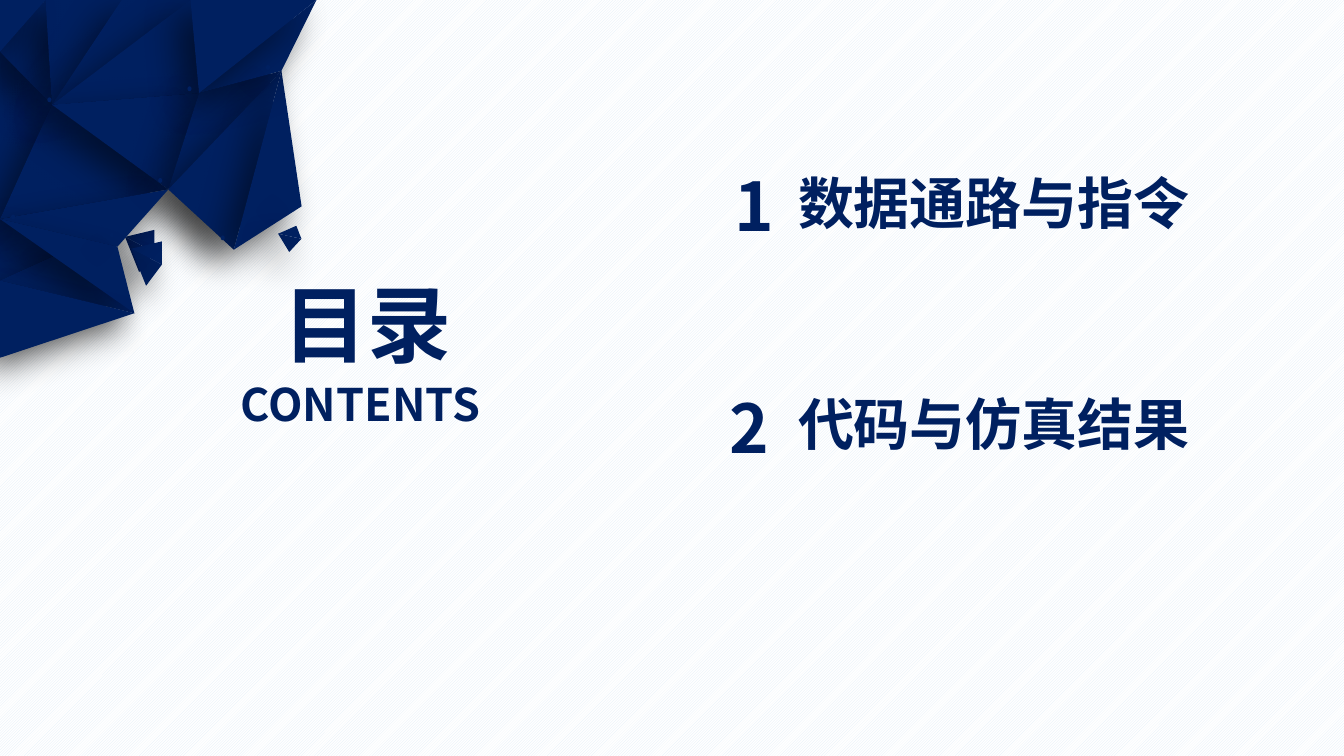
import pptx
import pptx.util
import pptx.dml.color
import pptx.enum.dml
import pptx.enum.shapes
import pptx.enum.text
import pptx.oxml
import pptx.oxml.ns

Pt = pptx.util.Pt
NAVY = "002060"
FONT = "Noto Sans CJK SC"
SHADOW = (
    '<a:effectLst xmlns:a="http://schemas.openxmlformats.org/drawingml/2006/main">'
    '<a:outerShdw blurRad="317500" dist="190500" dir="8100000" algn="tr" rotWithShape="0">'
    '<a:srgbClr val="000000"><a:alpha val="50000"/></a:srgbClr>'
    '</a:outerShdw></a:effectLst>'
)


def paint(color_format, hex_color):
    color_format.rgb = pptx.dml.color.RGBColor.from_string(hex_color)


def write(box, text, size, wrap=False, spacing=None):
    """Set one bold navy line, left-aligned from the top of the box."""
    frame = box.text_frame
    frame.text = text
    layout = {
        "auto_size": pptx.enum.text.MSO_AUTO_SIZE.NONE,
        "vertical_anchor": pptx.enum.text.MSO_ANCHOR.TOP,
        "word_wrap": wrap,
    }
    for name, value in layout.items():
        setattr(frame, name, value)
    line = frame.paragraphs[0]
    line.alignment = pptx.enum.text.PP_ALIGN.LEFT
    line.line_spacing = spacing
    font = line.runs[0].font
    for name, value in {"name": FONT, "size": Pt(size), "bold": True}.items():
        setattr(font, name, value)
    paint(font.color, NAVY)
    east_asian = pptx.oxml.parse_xml(
        '<a:ea xmlns:a="http://schemas.openxmlformats.org/drawingml/2006/main"'
        f' typeface="{FONT}"/>')
    line.runs[0].font._element.find(pptx.oxml.ns.qn("a:latin")).addnext(east_asian)


deck = pptx.Presentation()
deck.slide_width, deck.slide_height = Pt(960), Pt(540)
slide = deck.slides.add_slide(deck.slide_layouts[5])

backdrop = slide.background.fill
backdrop.patterned()
backdrop.pattern = pptx.enum.dml.MSO_PATTERN.DARK_UPWARD_DIAGONAL
paint(backdrop.fore_color, "DEEBF7")
paint(backdrop.back_color, "FFFFFF")

# Faceted corner: named vertices in points, then triangles between them
vertices = {
    "corner": (0, 0), "edge_high": (0, 35.3), "edge_mid": (0, 149),
    "edge_low": (0, 190.8), "edge_end": (0, 243.4),
    "top1": (31, 0), "top2": (82.8, 0), "top3": (129.6, 0), "top4": (215.3, 0),
    "west": (35.3, 71.3), "hub": (135.4, 63.4), "crest": (191.5, 48.2),
    "notch": (114.5, 128.9), "fang": (159.1, 169.9), "east": (205.2, 140.4),
    "fold": (64.8, 161.3), "elbow": (79.9, 167.8), "south": (91.4, 213.1),
    "shard_left": (89.3, 169.2), "shard_tip": (99.4, 194.4),
    "shard_right": (110.2, 180), "shard_top": (110.2, 164.2),
    "chip_left": (198.7, 167), "chip_tip": (206.6, 180),
    "chip_right": (215.3, 170.6), "chip_top": (211.7, 161.3),
}
facets = [
    "edge_mid edge_low fold", "edge_low south fold", "edge_high edge_mid west",
    "edge_mid notch west", "west top1 edge_high", "west top2 top1",
    "west top3 top2", "top3 hub west", "notch west hub", "notch crest hub",
    "notch fang crest", "fang east crest", "hub top4 crest", "top3 top4 hub",
    "shard_tip shard_left shard_right", "shard_left shard_top shard_right",
    "top1 corner edge_high", "notch elbow edge_mid", "elbow south edge_mid",
    "edge_low edge_end south",
]
chip = ["chip_tip chip_left chip_right", "chip_left chip_top chip_right"]

crystal = slide.shapes.add_group_shape().shapes
pieces = []
for triangles, scale in ((facets, 1), (facets, 1.05), (chip, 1)):
    for triangle in triangles:
        start, *others = [
            (Pt(vertices[name][0] * scale), Pt(vertices[name][1] * scale))
            for name in triangle.split()
        ]
        outline = crystal.build_freeform(*start)
        outline.add_line_segments(others, close=True)
        pieces.append(outline.convert_to_shape())

DOT_WIDTH, DOT_HEIGHT = 2.9, 3.4
dot_centres = [vertices[name] for name in
               ("crest", "hub", "notch", "west", "elbow", "fang", "east")]
dot_centres += [(36, 174.5), (9.4, 155)]
for x, y in dot_centres:
    pieces.append(crystal.add_shape(
        pptx.enum.shapes.MSO_SHAPE.OVAL, Pt(x - DOT_WIDTH / 2),
        Pt(y - DOT_HEIGHT / 2), Pt(DOT_WIDTH), Pt(DOT_HEIGHT)))

for piece in pieces:
    piece.fill.solid()
    paint(piece.fill.fore_color, NAVY)
    piece.line.fill.background()
    piece._element.spPr.append(pptx.oxml.parse_xml(SHADOW))

# Heading
heading = slide.shapes.title
place = {"left": 195.1, "top": 190.8, "width": 135.4, "height": 79.9}
for side, length in place.items():
    setattr(heading, side, Pt(length))
write(heading, "目录", 60)

subheading = slide.shapes.add_textbox(Pt(164.9), Pt(265.7), Pt(195.1), Pt(46.1))
write(subheading, "CONTENTS", 32)

# Agenda: number, its left and width, topic, tops of number and topic, topic height
agenda = [
    ("1", 517.7, 23.8, "数据通路与指令", 113.8, 107.3, 65.5),
    ("2", 514.1, 31.7, "代码与仿真结果", 272.2, 265, 100.1),
]
for number, left, width, topic, number_top, topic_top, topic_height in agenda:
    number_box = slide.shapes.add_textbox(Pt(left), Pt(number_top), Pt(width), Pt(48.2))
    write(number_box, number, 48)
    topic_box = slide.shapes.add_textbox(Pt(563), Pt(topic_top), Pt(311.8), Pt(topic_height))
    write(topic_box, topic, 40, wrap=True, spacing=1.2)

deck.save("out.pptx")
